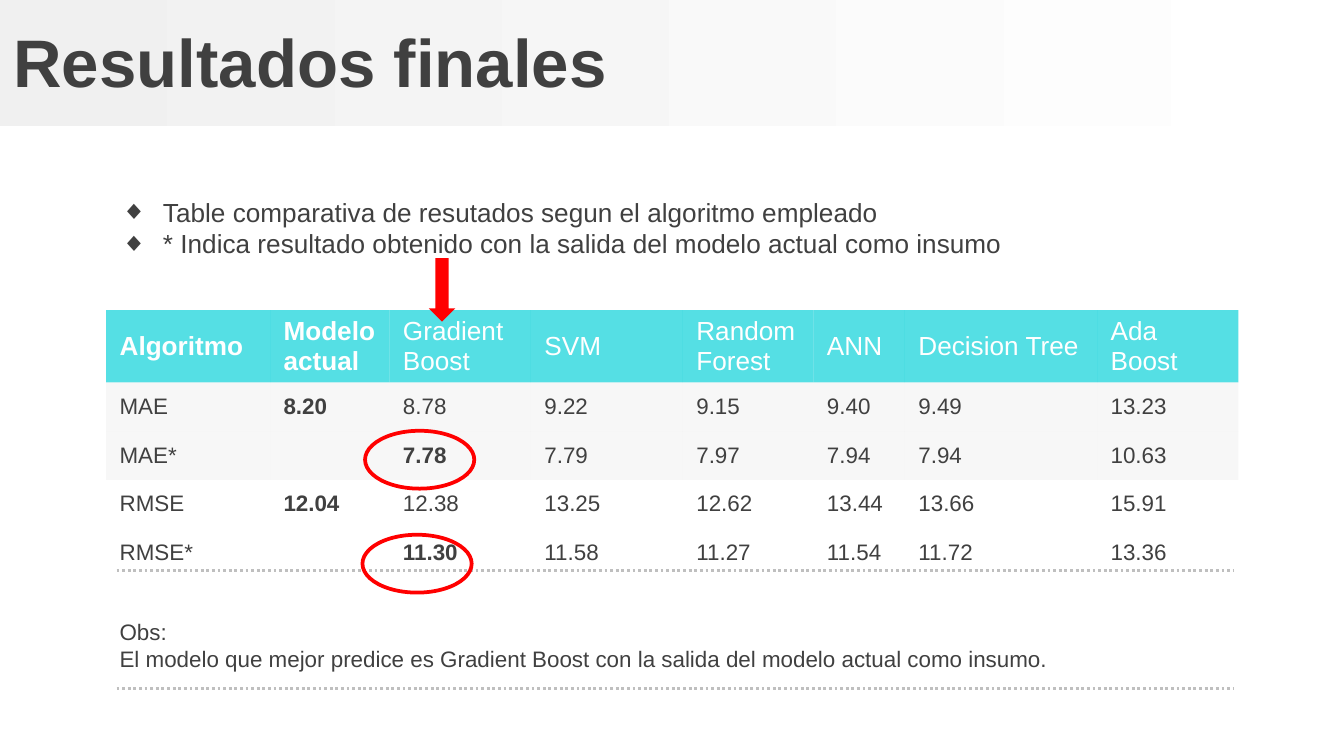
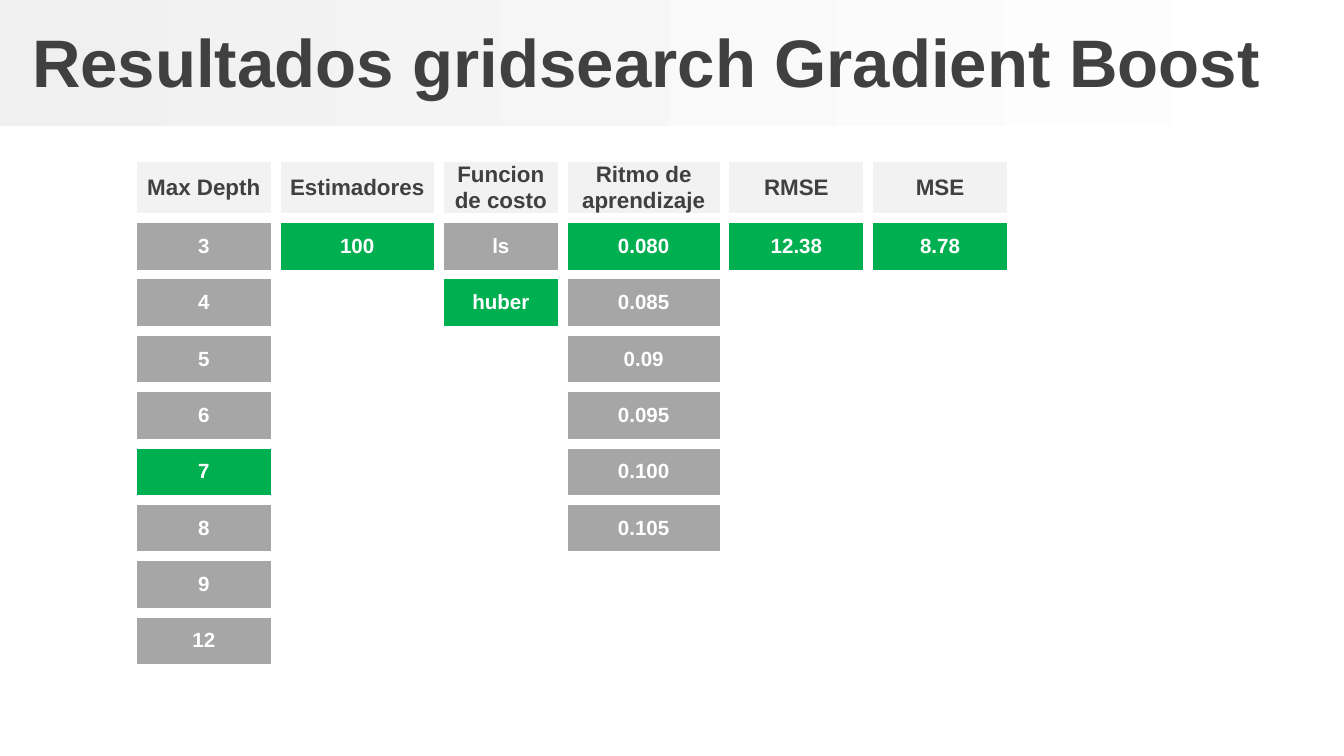
from lxml import etree
from pptx import Presentation
from pptx.dml.color import RGBColor
from pptx.enum.dml import MSO_LINE
from pptx.enum.shapes import MSO_CONNECTOR, MSO_SHAPE
from pptx.enum.text import MSO_ANCHOR, MSO_AUTO_SIZE, PP_ALIGN
from pptx.oxml.ns import qn
from pptx.util import Pt

RECT, OVAL, DOWN = MSO_SHAPE.RECTANGLE, MSO_SHAPE.OVAL, MSO_SHAPE.DOWN_ARROW
LEFT, MID, CENTER = PP_ALIGN.LEFT, MSO_ANCHOR.MIDDLE, PP_ALIGN.CENTER
TOP, FIXED, GROW = MSO_ANCHOR.TOP, MSO_AUTO_SIZE.NONE, MSO_AUTO_SIZE.SHAPE_TO_FIT_TEXT
STRAIGHT, DOTS = MSO_CONNECTOR.STRAIGHT, MSO_LINE.ROUND_DOT

FONT = "Arial"
PLAIN = "{2D5ABB26-0587-4C30-8999-92F81FD0307C}"
WHITE = RGBColor(0xFF, 0xFF, 0xFF)
DARK = RGBColor(0x40, 0x40, 0x40)
MIST = RGBColor(0xF0, 0xF0, 0xF0)
PALE = RGBColor(0xF2, 0xF2, 0xF2)
SILVER = RGBColor(0xD9, 0xD9, 0xD9)
LIGHT = RGBColor(0xBF, 0xBF, 0xBF)
GRAY = RGBColor(0xA6, 0xA6, 0xA6)
TEAL = RGBColor(0x0D, 0xD2, 0xD9)
GREEN = RGBColor(0x00, 0xB0, 0x50)
RED = RGBColor(0xFF, 0x00, 0x00)

SCORES = [
    ["Algoritmo", "Modelo actual", "Gradient Boost", "SVM", "Random Forest",
     "ANN", "Decision Tree", "Ada Boost"],
    ["MAE", "8.20", "8.78", "9.22", "9.15", "9.40", "9.49", "13.23"],
    ["MAE*", "", "7.78", "7.79", "7.97", "7.94", "7.94", "10.63"],
    ["RMSE", "12.04", "12.38", "13.25", "12.62", "13.44", "13.66", "15.91"],
    ["RMSE*", "", "11.30", "11.58", "11.27", "11.54", "11.72", "13.36"],
]
STRONG = {"Algoritmo", "Modelo actual", "8.20", "12.04", "7.78", "11.30"}
GRID = [
    ("Max Depth", 77, ["3", "4", "5", "6", "7", "8", "9", "12"]),
    ("Estimadores", 87.4, ["100"]),
    ("Funcion de costo", 66.5, ["ls", "huber"]),
    ("Ritmo de aprendizaje", 86.6,
     ["0.080", "0.085", "0.09", "0.095", "0.100", "0.105"]),
    ("RMSE", 77, ["12.38"]),
    ("MSE", 77, ["8.78"]),
]
BEST = {"7", "100", "huber", "0.080", "12.38", "8.78"}


def write(para, text, size, color=DARK, bold=False):
    run = para.add_run()
    run.text = text
    font = run.font
    font.name, font.size, font.bold = FONT, Pt(size), bold
    font.color.rgb = color


def place(shape, x, y, w, h):
    shape.left, shape.top, shape.width, shape.height = Pt(x), Pt(y), Pt(w), Pt(h)


def add_band(slide, master):
    band = add_mark(slide, RECT, 0, 0, 717, 67.5)
    band.fill.gradient()
    band.fill.gradient_angle = 0
    for stop, color in zip(band.fill.gradient_stops, (MIST, WHITE)):
        stop.color.rgb = color
    master.shapes.element.insert(2, band.element)


def set_title(slide, text, inset=7.2):
    title = slide.shapes.title
    place(title, 0, 2, 720, 61)
    frame = title.text_frame
    frame.auto_size, frame.vertical_anchor = FIXED, MID
    frame.margin_left = Pt(inset)
    para = frame.paragraphs[0]
    para.alignment = LEFT
    write(para, text, 36, bold=True)


def set_list(slide, items):
    body = slide.placeholders[1]
    place(body, 57.6, 101.5, 490, 41)
    frame = body.text_frame
    frame.auto_size, frame.vertical_anchor = FIXED, TOP
    for i, item in enumerate(items):
        para = frame.add_paragraph() if i else frame.paragraphs[0]
        para.space_before = Pt(0)
        props = para._p.get_or_add_pPr()
        props.set("marL", str(Pt(22.5)))
        props.set("indent", str(-Pt(22.5)))
        etree.SubElement(props, qn("a:buFont")).set("typeface", FONT)
        etree.SubElement(props, qn("a:buChar")).set("char", "◆")
        write(para, item, 14)


def add_note(slide, lines):
    box = slide.shapes.add_textbox(Pt(57), Pt(327.5), Pt(581), Pt(36))
    frame = box.text_frame
    frame.word_wrap, frame.auto_size = True, GROW
    for i, line in enumerate(lines):
        para = frame.add_paragraph() if i else frame.paragraphs[0]
        write(para, line, 12)


def add_rule(slide, y):
    rule = slide.shapes.add_connector(STRAIGHT, Pt(62.5), Pt(y), Pt(660.5), Pt(y))
    rule.line.color.rgb = LIGHT
    rule.line.width = Pt(1.5)
    rule.line.dash_style = DOTS
    etree.SubElement(rule.element.spPr, qn("a:effectLst"))


def add_mark(slide, kind, x, y, w, h):
    mark = slide.shapes.add_shape(kind, Pt(x), Pt(y), Pt(w), Pt(h))
    mark.shadow.inherit = False
    mark.fill.background()
    mark.line.fill.background()
    return mark


def add_ring(slide, x, y):
    ring = add_mark(slide, OVAL, x, y, 58.5, 31)
    ring.line.color.rgb = RED
    ring.line.width = Pt(2)


def add_arrow(slide):
    arrow = add_mark(slide, DOWN, 229.7, 138.3, 14.2, 34)
    arrow.fill.solid()
    arrow.fill.fore_color.rgb = RED


def add_table(slide, x, y, widths, heights):
    frame = slide.shapes.add_table(len(heights), len(widths), Pt(x), Pt(y),
                                   Pt(sum(widths)), Pt(sum(heights)))
    table = frame.table
    table.horz_banding = False
    next(frame.element.iter(qn("a:tableStyleId"))).text = PLAIN
    for col, width in zip(table.columns, widths):
        col.width = Pt(width)
    for row, height in zip(table.rows, heights):
        row.height = Pt(height)
    return table


def set_cell(cell, text, size, color, bold, fill=None, alpha=100):
    cell.vertical_anchor = MID
    para = cell.text_frame.paragraphs[0]
    if text:
        write(para, text, size, color, bold)
    else:
        etree.SubElement(para._p, qn("a:endParaRPr")).set("sz", str(size * 100))
    if fill is None:
        cell.fill.background()
        return
    cell.fill.solid()
    cell.fill.fore_color.rgb = fill
    if alpha < 100:
        tint = next(cell._tc.tcPr.iter(qn("a:srgbClr")))
        etree.SubElement(tint, qn("a:alpha")).set("val", str(alpha * 1000))


def set_edge(cell, color, width):
    props = cell._tc.get_or_add_tcPr()
    for i, side in enumerate(("lnL", "lnR", "lnT", "lnB")):
        edge = etree.Element(qn("a:" + side), w=str(Pt(width)))
        fill = etree.SubElement(edge, qn("a:solidFill"))
        etree.SubElement(fill, qn("a:srgbClr")).set("val", str(color))
        props.insert(i, edge)


def add_scores(slide):
    widths = [87.8, 64, 75.8, 81.4, 70, 49, 103, 75.6]
    table = add_table(slide, 56.9, 166.2, widths, [25.2] + [26.1] * 4)
    for r, row in enumerate(SCORES):
        size, color = (12, DARK) if r else (14, WHITE)
        fill, alpha = (TEAL, 70) if r == 0 else (SILVER, 20) if r < 3 else (None, 100)
        for c, text in enumerate(row):
            set_cell(table.cell(r, c), text, size, color, text in STRONG, fill, alpha)


def add_grid(slide):
    widths = [width for _, width, _ in GRID]
    table = add_table(slide, 70.7, 84.2, widths, [30.2] * 9)
    for c, (head, _, values) in enumerate(GRID):
        for r in range(9):
            cell = table.cell(r, c)
            text = ([head] + values)[r] if r <= len(values) else ""
            if r == 0:
                set_cell(cell, text, 12, DARK, True, PALE)
            else:
                fill = GREEN if text in BEST else GRAY if text else None
                set_cell(cell, text, 11, WHITE, True, fill)
            cell.text_frame.paragraphs[0].alignment = CENTER
            cell.margin_left = cell.margin_right = Pt(6.5)
            cell.margin_top = cell.margin_bottom = Pt(2.9)
            set_edge(cell, WHITE, 6)


def add_final(deck):
    slide = deck.slides.add_slide(deck.slide_layouts[1])
    add_band(slide, deck.slide_master)
    set_title(slide, "Resultados finales")
    add_scores(slide)
    add_note(slide, [
        "Obs:",
        "El modelo que mejor predice es Gradient Boost con la salida del modelo "
        "actual como insumo.",
    ])
    for y in (305.5, 368.8):
        add_rule(slide, y)
    set_list(slide, [
        "Table comparativa de resutados segun el algoritmo empleado",
        "* Indica resultado obtenido con la salida del modelo actual como insumo",
    ])
    add_ring(slide, 195.6, 230.8)
    add_ring(slide, 194.2, 286.5)
    add_arrow(slide)


def add_search(deck):
    slide = deck.slides.add_slide(deck.slide_layouts[5])
    set_title(slide, "Resultados gridsearch Gradient Boost", 17.2)
    add_grid(slide)


def main():
    deck = Presentation()
    deck.slide_width, deck.slide_height = Pt(720), Pt(405)
    add_final(deck)
    add_search(deck)
    deck.save("out.pptx")


main()
